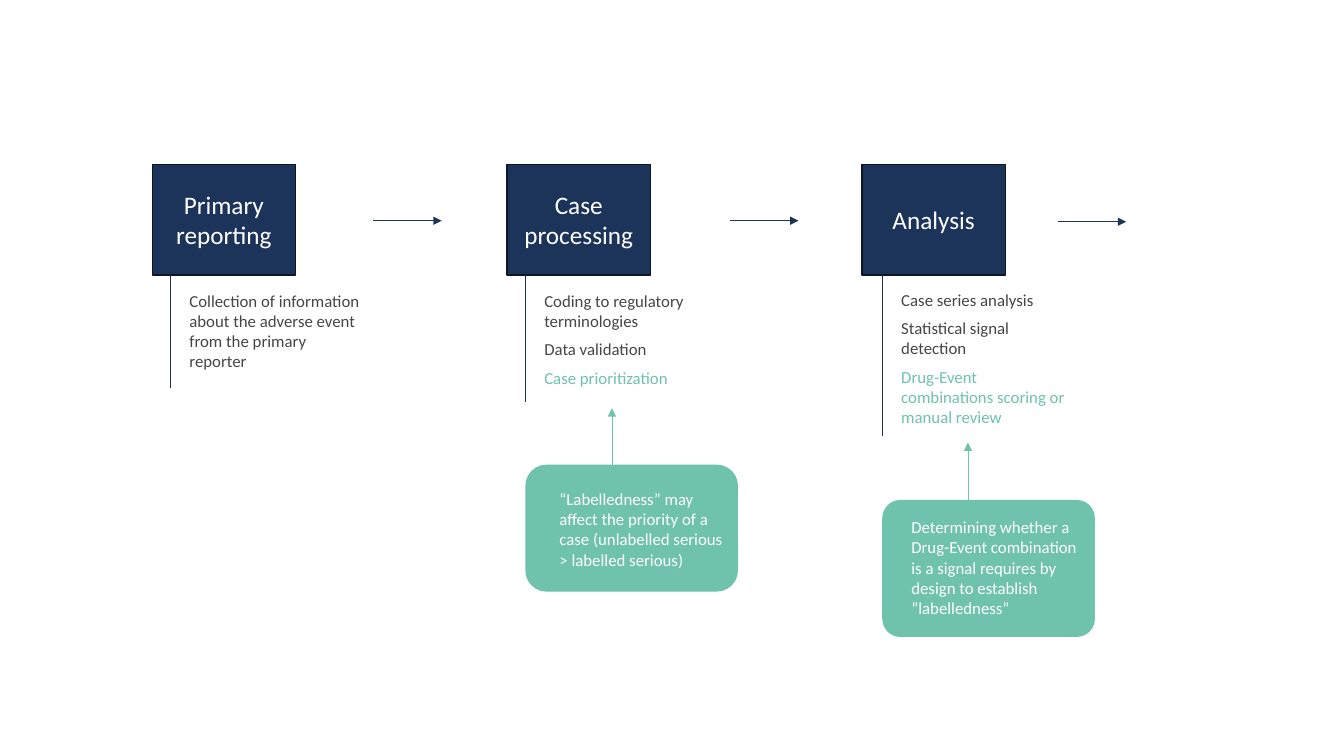
"""Build the three-stage safety reporting process slide."""
from lxml.etree import SubElement
from pptx import Presentation
from pptx.dml.color import RGBColor
from pptx.enum.shapes import MSO_CONNECTOR, MSO_SHAPE
from pptx.enum.text import MSO_ANCHOR, MSO_AUTO_SIZE, PP_ALIGN
from pptx.oxml.ns import qn
from pptx.util import Pt

COLORS = {"navy": "1C335A", "outline": "0C1627", "green": "6FC2AC",
          "grey": "464648", "white": "FFFFFF"}
FONT = "Calibri"
PX = 9144

STAGES = [
    {"title": "Primary reporting", "left": 151, "stem": 169, "stem_bottom": 385,
     "points_top": 283, "points_height": 91,
     "points": [("Collection of information about the adverse event "
                 "from the primary reporter", "grey")],
     "arrow": (370, 219)},
    {"title": "Case processing", "left": 503, "stem": 521, "stem_bottom": 399,
     "points_top": 283, "points_height": 108,
     "points": [("Coding to regulatory terminologies", "grey"),
                ("Data validation", "grey"),
                ("Case prioritization", "green")],
     "arrow": (724, 219),
     "note": {"text": "“Labelledness” may affect the priority of a case "
                      "(unlabelled serious > labelled serious)",
              "top": 461, "height": 126, "corner": 0.167,
              "text_box": (545, 480, 189, 91), "pointer": (607, 405)}},
    {"title": "Analysis", "left": 855, "stem": 875, "stem_bottom": 433,
     "points_top": 282, "points_height": 148,
     "points": [("Case series analysis", "grey"),
                ("Statistical signal detection", "grey"),
                ("Drug-Event combinations scoring or manual review", "green")],
     "arrow": (1049, 220),
     "note": {"text": "Determining whether a Drug-Event combination is a signal "
                      "requires by design to establish ”labelledness”",
              "top": 496, "height": 136, "corner": 0.133,
              "text_box": (894, 508, 189, 111), "pointer": (960, 439)}},
]
STAGE_TOP, STAGE_WIDTH, STAGE_HEIGHT = 163, 142, 110
STAGE_BOTTOM = STAGE_TOP + STAGE_HEIGHT
POINTS_OFFSET, POINTS_WIDTH = 9, 189
ARROW_LENGTH, NOTE_WIDTH = 68, 211


def color(name):
    return RGBColor.from_string(COLORS[name])


def emu(*lengths):
    return [length * PX for length in lengths]


def write(shape, lines, size, space_after=0, align=PP_ALIGN.LEFT):
    frame = shape.text_frame
    frame.word_wrap = True
    frame.text = "\n".join(text for text, _ in lines)
    for paragraph, (_, color_name) in zip(frame.paragraphs, lines):
        paragraph.alignment = align
        paragraph.space_after = Pt(space_after)
        for run in paragraph.runs:
            run.font.name = FONT
            run.font.size = Pt(size)
            run.font.color.rgb = color(color_name)


def add_text(slide, box, lines, space_after=0):
    text_box = slide.shapes.add_textbox(*emu(*box))
    write(text_box, lines, 12, space_after)
    text_box.text_frame.auto_size = MSO_AUTO_SIZE.SHAPE_TO_FIT_TEXT


def add_box(slide, preset, box, fill):
    shape = slide.shapes.add_shape(preset, *emu(*box))
    shape.shadow.inherit = False
    shape.fill.solid()
    shape.fill.fore_color.rgb = color(fill)
    shape.line.fill.background()
    return shape


def add_line(slide, start, end, color_name, arrow=False):
    line = slide.shapes.add_connector(MSO_CONNECTOR.STRAIGHT, *emu(*start, *end))
    line.line.color.rgb = color(color_name)
    line.line.width = Pt(0.5)
    if arrow:
        SubElement(line.line._get_or_add_ln(), qn("a:tailEnd"), type="triangle")
    SubElement(line._element.spPr, qn("a:effectLst"))


def add_note(slide, left, note):
    box = (left, note["top"], NOTE_WIDTH, note["height"])
    shape = add_box(slide, MSO_SHAPE.ROUNDED_RECTANGLE, box, "green")
    shape.adjustments[0] = note["corner"]
    pointer_x, pointer_top = note["pointer"]
    add_line(slide, (pointer_x, note["top"]), (pointer_x, pointer_top), "green", True)
    add_text(slide, note["text_box"], [(note["text"], "white")])


def add_stage(slide, stage):
    box = (stage["left"], STAGE_TOP, STAGE_WIDTH, STAGE_HEIGHT)
    shape = add_box(slide, MSO_SHAPE.RECTANGLE, box, "navy")
    shape.line.color.rgb = color("outline")
    shape.line.width = Pt(1)
    shape.text_frame.vertical_anchor = MSO_ANCHOR.MIDDLE
    write(shape, [(stage["title"], "white")], 18, align=PP_ALIGN.CENTER)

    stem = stage["stem"]
    add_line(slide, (stem, STAGE_BOTTOM), (stem, stage["stem_bottom"]), "navy")
    points_box = (stem + POINTS_OFFSET, stage["points_top"],
                  POINTS_WIDTH, stage["points_height"])
    add_text(slide, points_box, stage["points"], 6 if len(stage["points"]) > 1 else 0)
    arrow_x, arrow_y = stage["arrow"]
    add_line(slide, (arrow_x, arrow_y), (arrow_x + ARROW_LENGTH, arrow_y), "navy", True)
    if "note" in stage:
        add_note(slide, stem, stage["note"])


def main():
    presentation = Presentation()
    presentation.slide_width, presentation.slide_height = emu(1333, 750)
    slide = presentation.slides.add_slide(presentation.slide_layouts[6])
    for stage in STAGES:
        add_stage(slide, stage)
    presentation.save("out.pptx")


if __name__ == "__main__":
    main()
